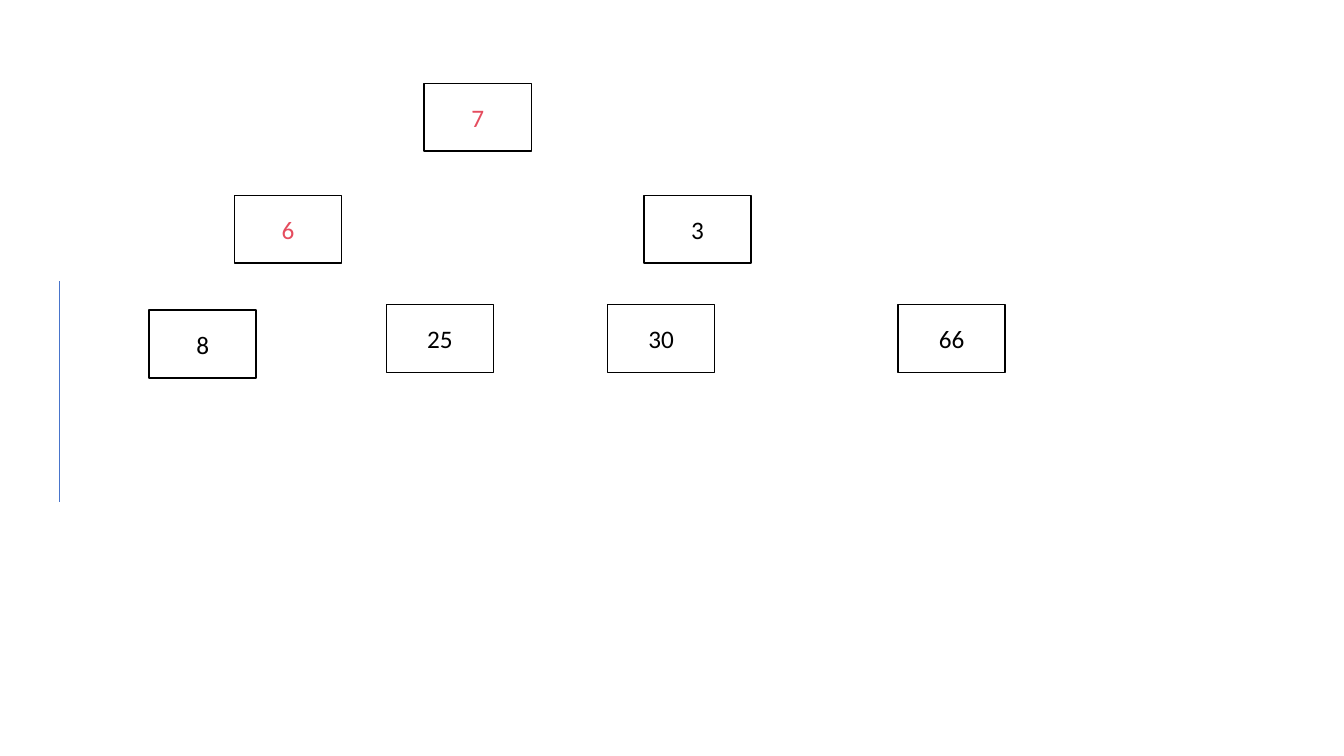
from dataclasses import dataclass

from lxml import etree
from pptx import Presentation
from pptx import util as u
from pptx.dml.color import RGBColor
from pptx.enum import shapes, text
from pptx.oxml.ns import qn


@dataclass(frozen=True)
class Theme:
    font: str = "Calibri"
    size: float = 18
    stroke: float = 1
    paper: str = "FFFFFF"
    ink: str = "000000"
    highlight: str = "E54C5E"
    rule: str = "4874CB"


def write_text(frame, content, *, font, size, color):
    frame.word_wrap = True
    frame.vertical_anchor = text.MSO_ANCHOR.MIDDLE
    paragraph = frame.paragraphs[0]
    paragraph.alignment = text.PP_ALIGN.CENTER
    run = paragraph.add_run()
    run.text = content
    run.font.name = font
    run.font.size = u.Pt(size)
    run.font.color.rgb = RGBColor.from_string(color)


class TreeSlide:
    def __init__(self, slide, theme):
        self.slide = slide
        self.theme = theme

    def style_line(self, line, color):
        line.color.rgb = RGBColor.from_string(color)
        line.width = u.Pt(self.theme.stroke)

    def node(self, value, left, top, width, height, color):
        node = self.slide.shapes.add_shape(
            shapes.MSO_SHAPE.RECTANGLE,
            u.Pt(left), u.Pt(top), u.Pt(width), u.Pt(height))
        node.shadow.inherit = False
        node.fill.solid()
        node.fill.fore_color.rgb = RGBColor.from_string(self.theme.paper)
        self.style_line(node.line, self.theme.ink)
        write_text(node.text_frame, value, font=self.theme.font,
                   size=self.theme.size, color=color)

    def vertical_rule(self, x, top, bottom):
        rule = self.slide.shapes.add_connector(
            shapes.MSO_CONNECTOR.STRAIGHT,
            u.Pt(x), u.Pt(top), u.Pt(x), u.Pt(bottom))
        self.style_line(rule.line, self.theme.rule)
        etree.SubElement(rule._element.spPr, qn("a:effectLst"))


NODE_WIDTH, NODE_HEIGHT = 76.5, 48.5

# Tree levels: top edge, then value and left edge of each node
LEVELS = [
    (59.5, [("7", 303)]),
    (139.5, [("6", 167.5), ("3", 460)]),
    (221.5, [("8", 106.5)]),
    (217.5, [("25", 276), ("30", 434), ("66", 641.5)]),
]
HIGHLIGHTED = {"7", "6"}


def main():
    deck = Presentation()
    deck.slide_width, deck.slide_height = u.Pt(960), u.Pt(540)
    theme = Theme()
    tree = TreeSlide(deck.slides.add_slide(deck.slide_layouts[6]), theme)

    # Heap nodes
    for top, nodes in LEVELS:
        for value, left in nodes:
            color = theme.highlight if value in HIGHLIGHTED else theme.ink
            tree.node(value, left, top, NODE_WIDTH, NODE_HEIGHT, color)

    # Rule on the left
    tree.vertical_rule(42.5, 201, 358.5)

    deck.save("out.pptx")


if __name__ == "__main__":
    main()
